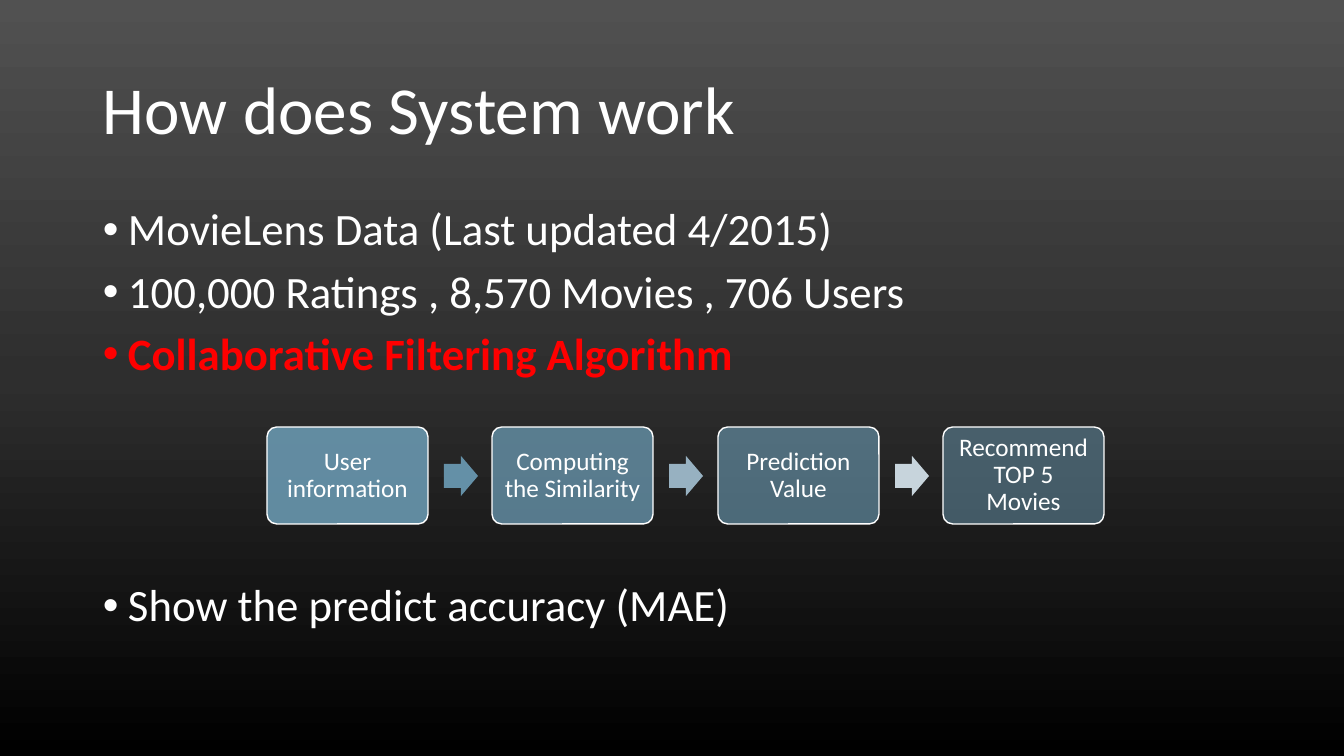
from dataclasses import dataclass

from lxml import etree
from pptx import Presentation
from pptx.dml.color import RGBColor
from pptx.enum.shapes import MSO_SHAPE
from pptx.enum.text import MSO_ANCHOR, MSO_AUTO_SIZE, PP_ALIGN
from pptx.oxml.ns import qn
from pptx.util import Emu, Pt

ROUNDED = MSO_SHAPE.ROUNDED_RECTANGLE
ARROW = MSO_SHAPE.RIGHT_ARROW
LEFT = PP_ALIGN.LEFT
CENTER = PP_ALIGN.CENTER
MIDDLE = MSO_ANCHOR.MIDDLE
TOP = MSO_ANCHOR.TOP
NO_AUTOFIT = MSO_AUTO_SIZE.NONE

SLIDE_WIDTH, SLIDE_HEIGHT = 1344, 756
EMU_PER_PX = 12192000 / SLIDE_WIDTH


@dataclass(frozen=True)
class Theme:
    """Colours, font and type sizes of the slide."""

    font: str = "Calibri"
    text: str = "FFFFFF"
    accent: str = "FF0000"
    step: str = "6997AF"
    background: tuple = ((0, "515151"), (50, "2E2E2E"), (100, "000000"))
    title_size: int = 48
    body_size: int = 32
    step_size: int = 18


THEME = Theme()

BULLETS = (
    ("MovieLens Data (Last updated 4/2015)", 0, {}),
    ("100,000 Ratings , 8,570 Movies , 706 Users", 10, {}),
    ("Collaborative Filtering Algorithm", 10, {"color": THEME.accent, "bold": True}),
    ("Show the predict accuracy (MAE)", 145, {}),
)
STEPS = (
    ("User information", 90),
    ("Computing the Similarity", 77),
    ("Prediction Value", 63),
    ("Recommend TOP 5 Movies", 50),
)
ARROW_COLORS = ("6490A7", "97B1C1", "C7D4DC")


def px(length):
    """Turn pixels into EMU."""
    return Emu(round(length * EMU_PER_PX))


def set_attributes(target, values):
    """Set every attribute named in values on target."""
    for name, value in values.items():
        setattr(target, name, value)


def place(shape, left, top, width, height):
    """Move and size a shape in pixels."""
    names = ("left", "top", "width", "height")
    set_attributes(shape, dict(zip(names, map(px, (left, top, width, height)))))


def format_frame(frame, anchor, inset_x, inset_y):
    """Set wrapping, anchor and insets of a text frame."""
    set_attributes(frame, {
        "word_wrap": True, "auto_size": NO_AUTOFIT, "vertical_anchor": anchor,
        "margin_left": px(inset_x), "margin_right": px(inset_x),
        "margin_top": px(inset_y), "margin_bottom": px(inset_y),
    })


def write_paragraph(paragraph, text, size, alignment=LEFT, before=0,
                    color=THEME.text, bold=False):
    """Fill a paragraph with one formatted run."""
    set_attributes(paragraph, {
        "alignment": alignment, "line_spacing": 0.9,
        "space_before": Pt(before), "space_after": Pt(0),
    })
    run = paragraph.add_run()
    run.text = text
    set_attributes(run.font, {"name": THEME.font, "size": Pt(size), "bold": bold})
    run.font.color.rgb = RGBColor.from_string(color)


def add_bullet(paragraph):
    """Give a paragraph a hanging round bullet."""
    properties = paragraph._p.get_or_add_pPr()
    properties.set("marL", str(px(25)))
    properties.set("indent", str(-px(25)))
    etree.SubElement(properties, qn("a:buFont"), typeface="Arial")
    etree.SubElement(properties, qn("a:buChar"), char="•")


def paint_background(slide):
    """Fill the background with a top-down gradient."""
    fill = slide.background.fill
    fill.gradient()
    fill.gradient_angle = 270
    stops = slide._element.find(".//" + qn("a:gsLst"))
    for stop in list(stops):
        stops.remove(stop)
    for position, color in THEME.background:
        stop = etree.SubElement(stops, qn("a:gs"), pos=str(position * 1000))
        etree.SubElement(stop, qn("a:srgbClr"), val=color)


def write_title(title, text):
    """Format and fill the title placeholder."""
    place(title, 93, 40, 1159, 146)
    format_frame(title.text_frame, MIDDLE, 10, 5)
    write_paragraph(title.text_frame.paragraphs[0], text, THEME.title_size)


def write_body(body, bullets):
    """Format and fill the list placeholder."""
    place(body, 93, 202, 1159, 480)
    frame = body.text_frame
    format_frame(frame, TOP, 10, 5)
    for index, (text, before, style) in enumerate(bullets):
        paragraph = frame.add_paragraph() if index else frame.paragraphs[0]
        add_bullet(paragraph)
        write_paragraph(paragraph, text, THEME.body_size, before=before, **style)


def add_filled_shape(slide, kind, bounds, color, adjustments):
    """Add a flat shape with a solid fill and no line."""
    shape = slide.shapes.add_shape(kind, *map(px, bounds))
    shape.shadow.inherit = False
    shape.fill.solid()
    shape.fill.fore_color.rgb = RGBColor.from_string(color)
    shape.line.fill.background()
    for index, value in enumerate(adjustments):
        shape.adjustments[index] = value
    return shape


def add_step(slide, left, text, opacity):
    """Add one translucent, outlined process box."""
    box = add_filled_shape(slide, ROUNDED, (left, 427, 161, 97), THEME.step, (0.1,))
    color = box.fill._xPr.find(".//" + qn("a:srgbClr"))
    etree.SubElement(color, qn("a:alpha"), val=str(opacity * 1000))
    box.line.color.rgb = RGBColor.from_string(THEME.text)
    box.line.width = Pt(1)
    format_frame(box.text_frame, MIDDLE, 9, 9)
    write_paragraph(box.text_frame.paragraphs[0], text, THEME.step_size, CENTER)


def add_process(slide):
    """Add the row of process boxes joined by arrows."""
    lefts = [267 + index * 451 // 2 for index in range(len(STEPS))]
    for left, (text, opacity) in zip(lefts, STEPS):
        add_step(slide, left, text, opacity)
    for left, color in zip(lefts, ARROW_COLORS):
        add_filled_shape(slide, ARROW, (left + 177, 456, 34, 40), color, (0.6, 0.5))


def main():
    """Build and save the slide."""
    presentation = Presentation()
    presentation.slide_width = px(SLIDE_WIDTH)
    presentation.slide_height = px(SLIDE_HEIGHT)
    slide = presentation.slides.add_slide(presentation.slide_layouts[1])
    paint_background(slide)
    write_title(slide.shapes.title, "How does System work")
    write_body(slide.placeholders[1], BULLETS)
    add_process(slide)
    presentation.save("out.pptx")


if __name__ == "__main__":
    main()
